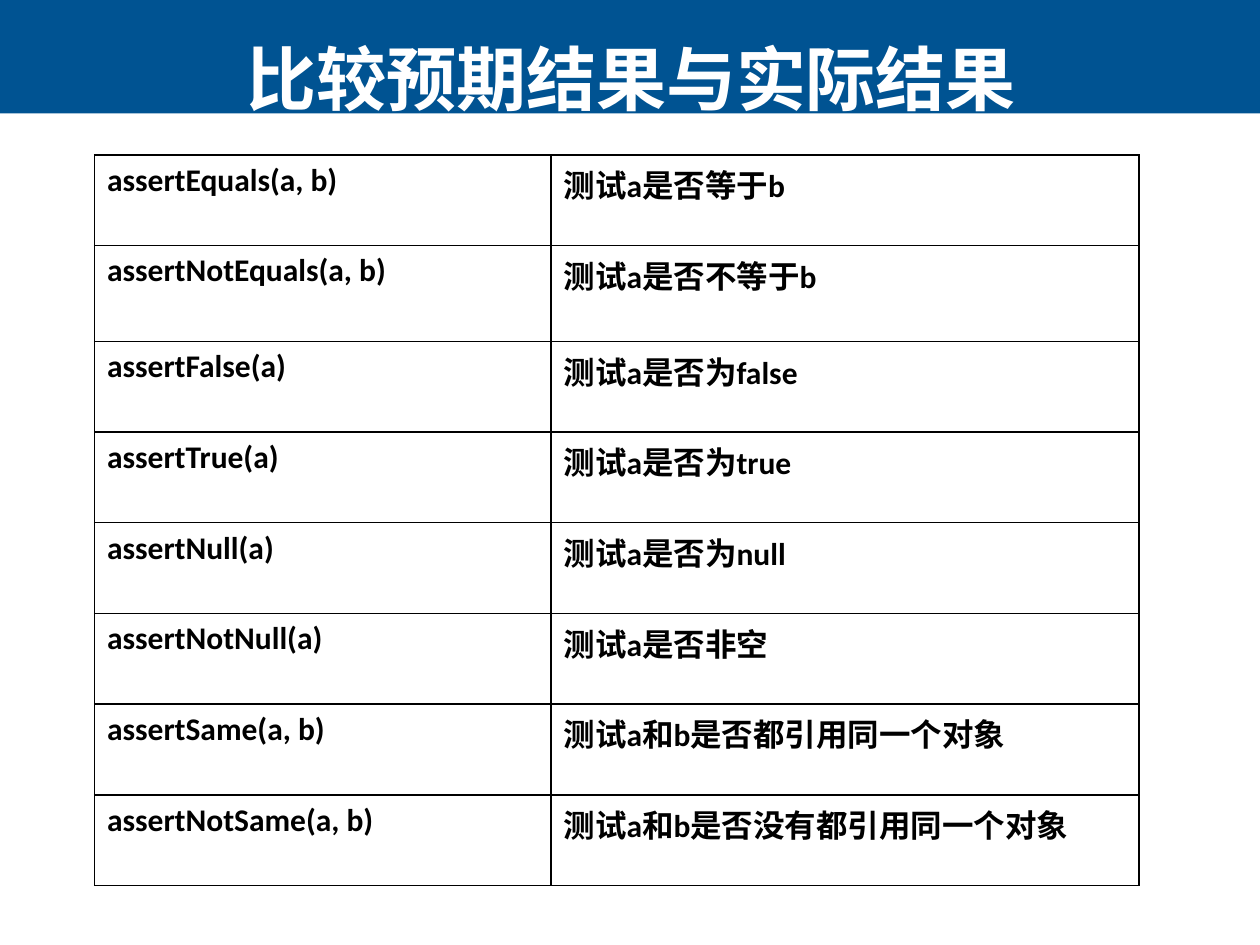
from dataclasses import dataclass

from lxml import etree
from pptx import Presentation
from pptx.dml.color import RGBColor
from pptx.enum import shapes, text
from pptx.oxml import ns
from pptx.util import Inches, Pt


@dataclass(frozen=True)
class Theme:
    blue: str = "005392"
    white: str = "FFFFFF"
    black: str = "000000"
    head: str = "Arial"
    body: str = "Calibri"
    large: int = 40
    small: int = 18
    rule: int = 1


THEME = Theme()
WIDE, HIGH = 10, 7.5
SHARES = (0.437, 0.563)
ROWS = (0.72, 0.76) + (0.72,) * 6
CHECKS = (
    ("assertEquals(a, b)", "测试a是否等于b"),
    ("assertNotEquals(a, b)", "测试a是否不等于b"),
    ("assertFalse(a)", "测试a是否为false"),
    ("assertTrue(a)", "测试a是否为true"),
    ("assertNull(a)", "测试a是否为null"),
    ("assertNotNull(a)", "测试a是否非空"),
    ("assertSame(a, b)", "测试a和b是否都引用同一个对象"),
    ("assertNotSame(a, b)", "测试a和b是否没有都引用同一个对象"),
)


def write(frame, words, font, size, color, align=text.PP_ALIGN.LEFT,
          anchor=text.MSO_ANCHOR.TOP):
    frame.word_wrap = True
    frame.vertical_anchor = anchor
    para = frame.paragraphs[0]
    para.alignment = align
    run = para.add_run()
    run.text = words
    run.font.name = font
    run.font.size = Pt(size)
    run.font.bold = True
    run.font.color.rgb = RGBColor.from_string(color)


def border(cell):
    props = cell._tc.get_or_add_tcPr()
    for spot, side in enumerate(("lnL", "lnR", "lnT", "lnB")):
        line = etree.Element(ns.qn(f"a:{side}"), w=str(Pt(THEME.rule)))
        fill = etree.SubElement(line, ns.qn("a:solidFill"))
        etree.SubElement(fill, ns.qn("a:srgbClr"), val=THEME.black)
        props.insert(spot, line)


def banner(slide, box):
    band = slide.shapes.add_shape(
        shapes.MSO_SHAPE.RECTANGLE, *map(Inches, box))
    band.shadow.inherit = False
    band.fill.solid()
    band.fill.fore_color.rgb = RGBColor.from_string(THEME.blue)
    band.line.fill.background()


def title(slide, box, words):
    label = slide.shapes.add_textbox(*map(Inches, box))
    write(label.text_frame, words, THEME.head, THEME.large, THEME.white,
          align=text.PP_ALIGN.CENTER, anchor=text.MSO_ANCHOR.MIDDLE)


def grid(slide, box, checks):
    table = slide.shapes.add_table(
        len(checks), len(SHARES), *map(Inches, box)).table
    table.first_row = table.horz_banding = False
    for column, share in zip(table.columns, SHARES):
        column.width = Inches(box[2] * share)
    for row, height, check in zip(table.rows, ROWS, checks):
        row.height = Inches(height)
        for cell, words in zip(row.cells, check):
            cell.fill.background()
            border(cell)
            write(cell.text_frame, words, THEME.body, THEME.small,
                  THEME.black)


def main():
    deck = Presentation()
    deck.slide_width, deck.slide_height = Inches(WIDE), Inches(HIGH)
    slide = deck.slides.add_slide(deck.slide_layouts[6])
    banner(slide, (0, 0, WIDE, HIGH * 0.12))
    grid(slide, (0.75, 1.23, 8.29, sum(ROWS)), CHECKS)
    title(slide, (0.51, -0.01, WIDE * 0.9, 1.25), "比较预期结果与实际结果")
    deck.save("out.pptx")


if __name__ == "__main__":
    main()
